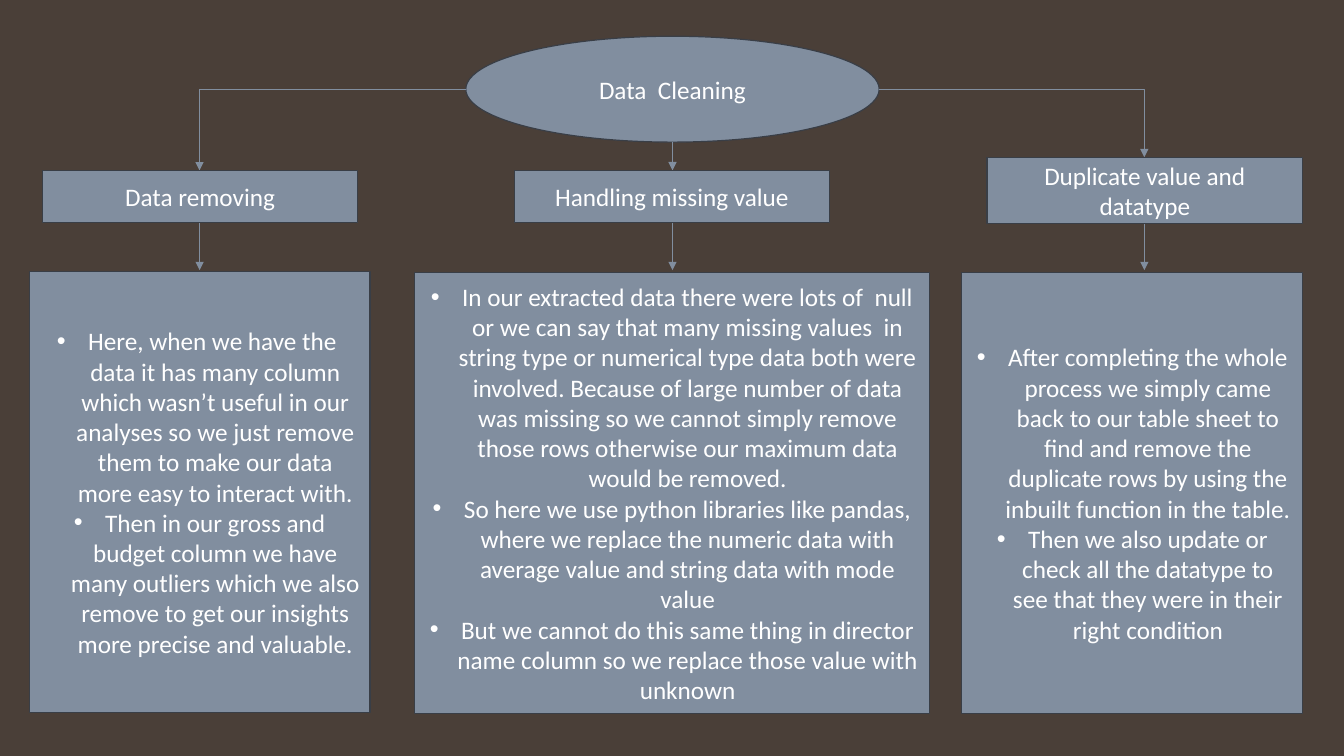
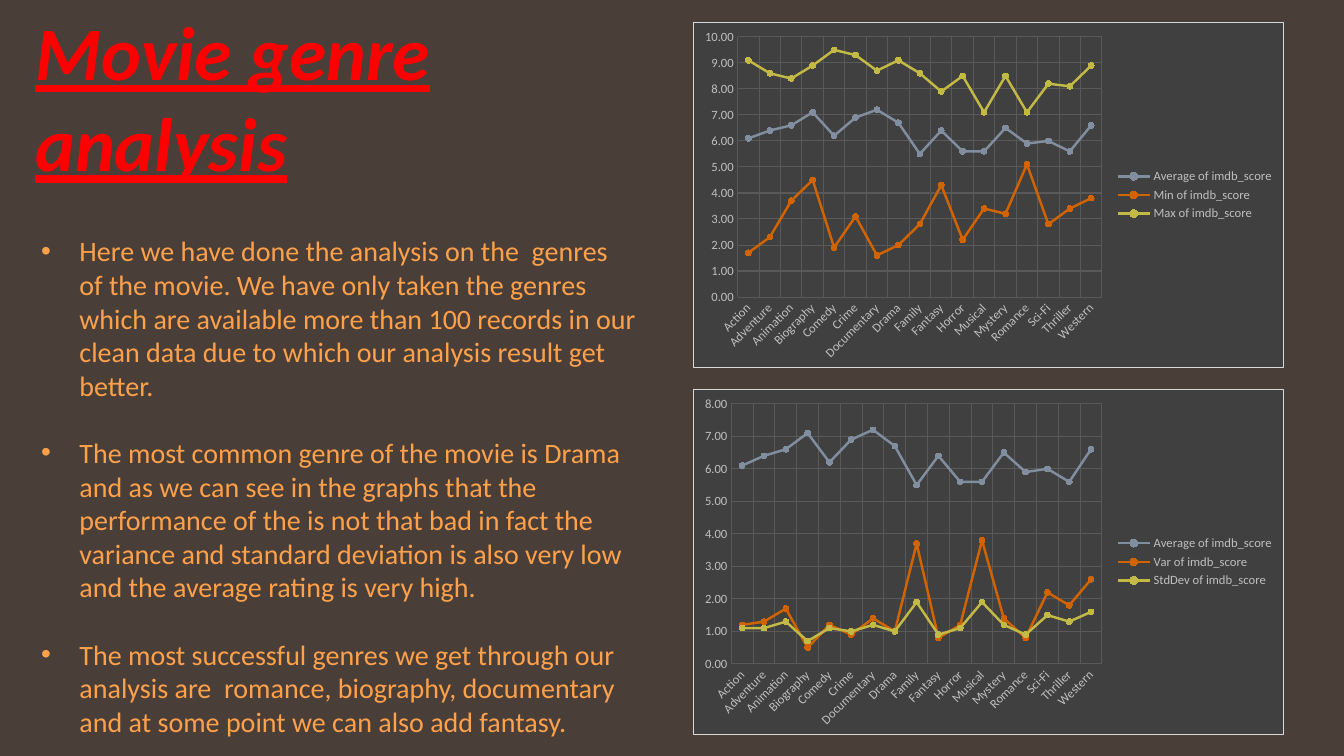
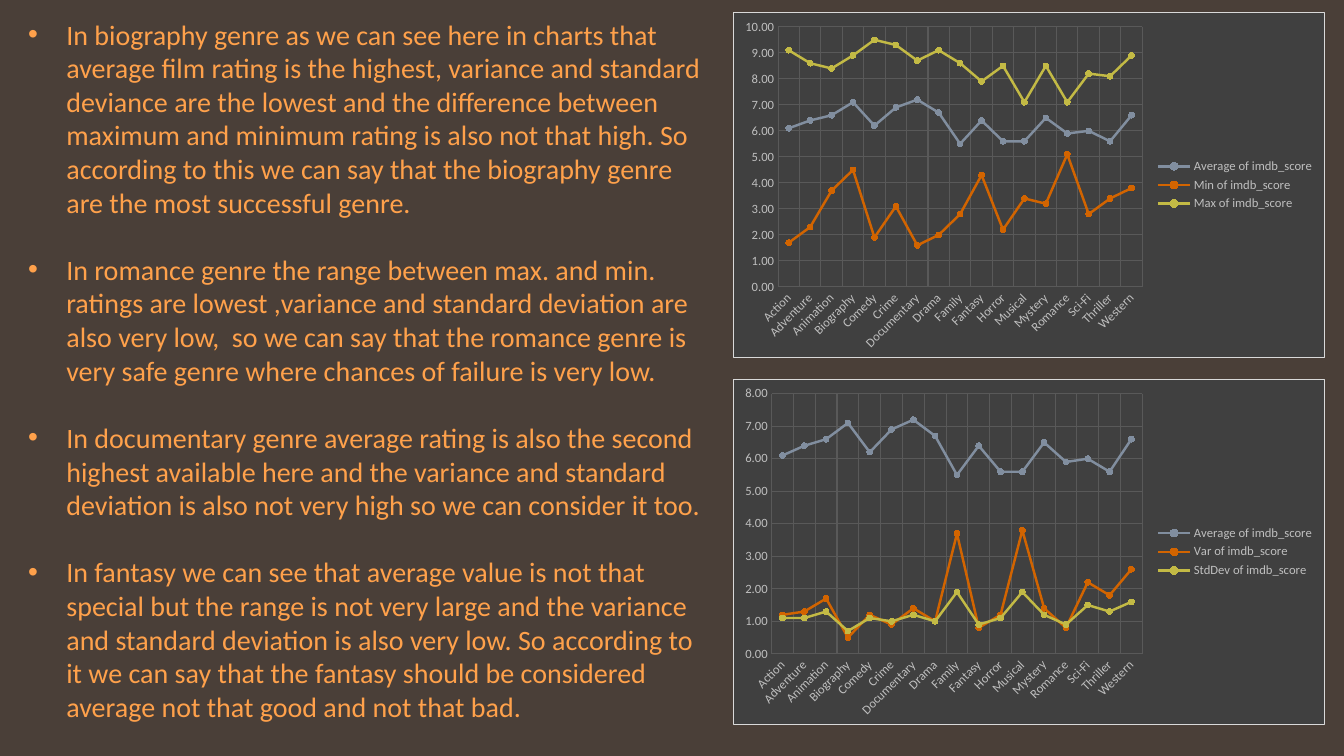
"""Builds three slides on cleaning movie data and analysing genre ratings."""
from dataclasses import dataclass

from lxml import etree
from pptx import Presentation
from pptx.chart.chart import Chart
from pptx.chart.data import CategoryChartData
from pptx.dml.color import RGBColor
from pptx.enum.chart import XL_CHART_TYPE, XL_LEGEND_POSITION, XL_MARKER_STYLE, XL_TICK_MARK
from pptx.enum.shapes import MSO_CONNECTOR, MSO_SHAPE
from pptx.enum.text import MSO_ANCHOR, MSO_AUTO_SIZE, PP_ALIGN
from pptx.oxml import parse_xml
from pptx.oxml.ns import nsdecls, qn
from pptx.slide import Slide
from pptx.text.text import Font, TextFrame, _Paragraph
from pptx.util import Inches, Pt

LINE_MARKERS = XL_CHART_TYPE.LINE_MARKERS
LEGEND_RIGHT = XL_LEGEND_POSITION.RIGHT
CIRCLE = XL_MARKER_STYLE.CIRCLE
NO_TICK = XL_TICK_MARK.NONE
STRAIGHT, ELBOW = MSO_CONNECTOR.STRAIGHT, MSO_CONNECTOR.ELBOW
OVAL, RECTANGLE = MSO_SHAPE.OVAL, MSO_SHAPE.RECTANGLE
TOP, MIDDLE = MSO_ANCHOR.TOP, MSO_ANCHOR.MIDDLE
FIXED = MSO_AUTO_SIZE.NONE
LEFT, CENTER = PP_ALIGN.LEFT, PP_ALIGN.CENTER
TITLE_ONLY, BLANK = 5, 6


@dataclass(frozen=True)
class Theme:
    """Colours, font and type sizes shared by the slides."""

    font: str = "Calibri"
    background: str = "4A3F38"
    box: str = "818E9F"
    outline: str = "393E46"
    box_text: str = "FFFFFF"
    title: str = "FF0000"
    body: str = "FFA14B"
    chart_fill: str = "404040"
    chart_border: str = "D9D9D9"
    grid: str = "595959"
    chart_text: str = "BFBFBF"
    series: tuple[str, ...] = ("818E9F", "D26400", "C3BA45")
    title_size: float = 54
    body_size: float = 20
    box_size: float = 18
    chart_size: float = 9


THEME = Theme()


@dataclass(frozen=True)
class Box:
    """A place on a slide, in inches."""

    left: float
    top: float
    width: float
    height: float

    @property
    def center(self) -> float:
        """Horizontal centre."""
        return self.left + self.width / 2

    @property
    def right(self) -> float:
        """Right edge."""
        return self.left + self.width

    @property
    def middle(self) -> float:
        """Vertical centre."""
        return self.top + self.height / 2

    @property
    def bottom(self) -> float:
        """Bottom edge."""
        return self.top + self.height

    def emu(self) -> tuple[int, int, int, int]:
        """Return the place as lengths for python-pptx."""
        return Inches(self.left), Inches(self.top), Inches(self.width), Inches(self.height)


@dataclass(frozen=True)
class CleaningStep:
    """One branch of the cleaning diagram."""

    heading: str
    heading_box: Box
    points: tuple[str, ...]
    points_box: Box


@dataclass(frozen=True)
class ScoreChart:
    """The series and the scale of one rating chart."""

    scores: dict[str, tuple[float, ...]]
    maximum: float


ROOT_BOX = Box(4.62, 0.36, 4.1, 1.05)
ARROW_END = 2.68
STEPS = (
    CleaningStep(
        "Data removing",
        Box(0.42, 1.69, 3.13, 0.52),
        (
            "Here, when we have the  data it has many column which wasn’t useful in our analyses "
            "so we just remove them to make our data more easy to interact with.",
            "Then in our gross and budget column we have many outliers which we also remove "
            "to get our insights more precise and valuable.",
        ),
        Box(0.29, 2.69, 3.38, 4.38),
    ),
    CleaningStep(
        "Handling missing value",
        Box(5.1, 1.69, 3.13, 0.52),
        (
            "In our extracted data there were lots of  null or we can say that many missing values  "
            "in string type or numerical type data both were involved. Because of large number of "
            "data was missing so we cannot simply remove those rows otherwise our maximum data "
            "would be removed.",
            "So here we use python libraries like pandas, where we replace the numeric data with "
            "average value and string data with mode value",
            "But we cannot do this same thing in director name column so we replace those value "
            "with unknown",
        ),
        Box(4.11, 2.7, 5.11, 4.38),
    ),
    CleaningStep(
        "Duplicate value and datatype",
        Box(9.79, 1.56, 3.13, 0.66),
        (
            "After completing the whole process we simply came back to our table sheet to find and "
            "remove the duplicate rows by using the inbuilt function in the table.",
            "Then we also update or check all the datatype to see that they were in their right "
            "condition",
        ),
        Box(9.54, 2.7, 3.38, 4.38),
    ),
)

GENRES = (
    "Action", "Adventure", "Animation", "Biography", "Comedy", "Crime", "Documentary", "Drama",
    "Family", "Fantasy", "Horror", "Musical", "Mystery", "Romance", "Sci-Fi", "Thriller", "Western",
)
AVERAGE = (6.1, 6.4, 6.6, 7.1, 6.2, 6.9, 7.2, 6.7, 5.5, 6.4, 5.6, 5.6, 6.5, 5.9, 6, 5.6, 6.6)
CHARTS = (
    ScoreChart(
        {
            "Average of imdb_score": AVERAGE,
            "Min of imdb_score": (
                1.7, 2.3, 3.7, 4.5, 1.9, 3.1, 1.6, 2, 2.8, 4.3, 2.2, 3.4, 3.2, 5.1, 2.8, 3.4, 3.8),
            "Max of imdb_score": (
                9.1, 8.6, 8.4, 8.9, 9.5, 9.3, 8.7, 9.1, 8.6, 7.9, 8.5, 7.1, 8.5, 7.1, 8.2, 8.1, 8.9),
        },
        10,
    ),
    ScoreChart(
        {
            "Average of imdb_score": AVERAGE,
            "Var of imdb_score": (
                1.2, 1.3, 1.7, 0.5, 1.2, 0.9, 1.4, 1, 3.7, 0.8, 1.2, 3.8, 1.4, 0.8, 2.2, 1.8, 2.6),
            "StdDev of imdb_score": (
                1.1, 1.1, 1.3, 0.7, 1.1, 1, 1.2, 1, 1.9, 0.9, 1.1, 1.9, 1.2, 0.9, 1.5, 1.3, 1.6),
        },
        8,
    ),
)
CHART_WIDTH, CHART_HEIGHT, CHART_PITCH = 5.87, 3.43, 3.64

GENRE_TITLE = "Movie genre analysis"
GENRE_POINTS = (
    "Here we have done the analysis on the  genres of the movie. We have only taken the genres "
    "which are available more than 100 records in our clean data due to which our analysis result "
    "get better.",
    "The most common genre of the movie is Drama and as we can see in the graphs that the "
    "performance of the is not that bad in fact the variance and standard deviation is also very "
    "low and the average rating is very high.",
    "The most successful genres we get through our analysis are  romance, biography, documentary "
    "and at some point we can also add fantasy.",
)
FINDINGS = (
    "In biography genre as we can see here in charts that average film rating is the highest, "
    "variance and standard deviance are the lowest and the difference between maximum and minimum "
    "rating is also not that high. So according to this we can say that the biography genre are "
    "the most successful genre.",
    "In romance genre the range between max. and min. ratings are lowest ,variance and standard "
    "deviation are also very low,  so we can say that the romance genre is very safe genre where "
    "chances of failure is very low.",
    "In documentary genre average rating is also the second highest available here and the "
    "variance and standard deviation is also not very high so we can consider it too.",
    "In fantasy we can see that average value is not that special but the range is not very large "
    "and the variance and standard deviation is also very low. So according to it we can say that "
    "the fantasy should be considered average not that good and not that bad.",
)


def rgb(code: str) -> RGBColor:
    """Turn a hex code into a colour."""
    return RGBColor.from_string(code)


def style_font(font: Font, size: float, color: str) -> None:
    """Set the theme font with a size and a colour."""
    font.name = THEME.font
    font.size = Pt(size)
    font.color.rgb = rgb(color)


def add_bullet(paragraph: _Paragraph, indent: float) -> None:
    """Give a paragraph a round bullet with a hanging indent."""
    properties = paragraph._p.get_or_add_pPr()
    properties.set("marL", str(Inches(indent)))
    properties.set("indent", str(-Inches(indent)))
    etree.SubElement(properties, qn("a:buFont")).set("typeface", "Arial")
    etree.SubElement(properties, qn("a:buChar")).set("char", "•")


def write_paragraphs(frame: TextFrame, texts: tuple[str, ...], size: float, color: str,
                     align: PP_ALIGN, indent: float = 0, gap: float = 0) -> None:
    """Fill a text frame, with bullets where an indent is given."""
    frame.word_wrap = True
    for index, text in enumerate(texts):
        paragraph = frame.paragraphs[0] if index == 0 else frame.add_paragraph()
        paragraph.text = text
        paragraph.alignment = align
        if index and gap:
            paragraph.space_before = Pt(gap)
        if indent:
            add_bullet(paragraph, indent)
        style_font(paragraph.font, size, color)


def add_node(slide: Slide, kind: MSO_SHAPE, box: Box, texts: tuple[str, ...],
             indent: float = 0) -> None:
    """Draw one filled shape of the diagram."""
    node = slide.shapes.add_shape(kind, *box.emu())
    node.shadow.inherit = False
    node.fill.solid()
    node.fill.fore_color.rgb = rgb(THEME.box)
    node.line.color.rgb = rgb(THEME.outline)
    node.line.width = Pt(0.85)
    node.text_frame.vertical_anchor = MIDDLE
    write_paragraphs(node.text_frame, texts, THEME.box_size, THEME.box_text, CENTER, indent)


def add_arrow(slide: Slide, start: tuple[float, float], end: tuple[float, float]) -> None:
    """Draw an arrow, with one corner when its ends are not in line."""
    bent = start[0] != end[0]
    arrow = slide.shapes.add_connector(
        ELBOW if bent else STRAIGHT, *(Inches(length) for length in (*start, *end)))
    arrow.line.color.rgb = rgb(THEME.box)
    arrow.line.width = Pt(0.75)
    properties = arrow._element.spPr
    if bent:
        properties.find(qn("a:prstGeom")).set("prst", "bentConnector2")
    etree.SubElement(properties.find(qn("a:ln")), qn("a:tailEnd")).set("type", "triangle")
    etree.SubElement(properties, qn("a:effectLst"))


def add_points(slide: Slide, box: Box, points: tuple[str, ...]) -> None:
    """Add a bulleted text box with a line of space between points."""
    frame = slide.shapes.add_textbox(*box.emu()).text_frame
    write_paragraphs(frame, points, THEME.body_size, THEME.body, LEFT, indent=0.38, gap=24)


def style_chart_area(chart: Chart) -> None:
    """Fill and outline the whole chart."""
    area = parse_xml(
        f'<c:spPr {nsdecls("c", "a")}>'
        f'<a:solidFill><a:srgbClr val="{THEME.chart_fill}"/></a:solidFill>'
        f'<a:ln w="{Pt(0.75)}"><a:solidFill><a:srgbClr val="{THEME.chart_border}"/></a:solidFill>'
        "</a:ln></c:spPr>")
    chart._chartSpace.find(qn("c:txPr")).addprevious(area)


def add_score_chart(slide: Slide, box: Box, score_chart: ScoreChart) -> None:
    """Draw one line chart of ratings by genre."""
    data = CategoryChartData(number_format="0.00")
    data.categories = GENRES
    for name, values in score_chart.scores.items():
        data.add_series(name, values)
    chart = slide.shapes.add_chart(LINE_MARKERS, *box.emu(), data).chart
    chart.has_title = False
    style_font(chart.font, THEME.chart_size, THEME.chart_text)
    style_chart_area(chart)
    chart.has_legend = True
    chart.legend.position = LEGEND_RIGHT
    chart.legend.include_in_layout = False
    style_font(chart.legend.font, THEME.chart_size, THEME.chart_text)
    for axis in (chart.category_axis, chart.value_axis):
        axis.major_tick_mark = axis.minor_tick_mark = NO_TICK
        axis.format.line.fill.background()
        axis.has_major_gridlines = True
        axis.major_gridlines.format.line.color.rgb = rgb(THEME.grid)
        axis.major_gridlines.format.line.width = Pt(0.75)
        style_font(axis.tick_labels.font, THEME.chart_size, THEME.chart_text)
    label_body = chart.category_axis._element.find(qn("c:txPr")).find(qn("a:bodyPr"))
    label_body.set("rot", str(-45 * 60000))
    chart.value_axis.minimum_scale = 0
    chart.value_axis.maximum_scale = score_chart.maximum
    chart.value_axis.major_unit = 1
    chart.value_axis.tick_labels.number_format = "0.00"
    chart.value_axis.tick_labels.number_format_is_linked = False
    chart.plots[0].vary_by_categories = False
    for series, color in zip(chart.plots[0].series, THEME.series):
        series.smooth = False
        series.format.line.color.rgb = rgb(color)
        series.format.line.width = Pt(1.75)
        series.marker.style = CIRCLE
        series.marker.size = 4
        series.marker.format.fill.solid()
        series.marker.format.fill.fore_color.rgb = rgb(color)
        series.marker.format.line.color.rgb = rgb(color)


def add_chart_column(slide: Slide, left: float, top: float) -> None:
    """Stack the two rating charts."""
    for row, score_chart in enumerate(CHARTS):
        box = Box(left, top + row * CHART_PITCH, CHART_WIDTH, CHART_HEIGHT)
        add_score_chart(slide, box, score_chart)


def build_cleaning(slide: Slide) -> None:
    """Draw the data cleaning diagram."""
    add_node(slide, OVAL, ROOT_BOX, ("Data  Cleaning",))
    starts = (
        (ROOT_BOX.left, ROOT_BOX.middle),
        (ROOT_BOX.center, ROOT_BOX.bottom),
        (ROOT_BOX.right, ROOT_BOX.middle),
    )
    for step, start in zip(STEPS, starts):
        heading = step.heading_box
        center = round(heading.center, 2)
        if start == starts[1]:
            center = start[0]
        add_arrow(slide, start, (center, heading.top))
        add_arrow(slide, (center, heading.bottom), (center, ARROW_END))
        add_node(slide, RECTANGLE, heading, (step.heading,))
        add_node(slide, RECTANGLE, step.points_box, step.points, indent=0.31)


def build_genres(slide: Slide) -> None:
    """Lay out the genre analysis with its title and charts."""
    title = slide.shapes.title
    title.left, title.top, title.width, title.height = Box(0.25, 0, 6.62, 1.92).emu()
    frame = title.text_frame
    frame.auto_size = FIXED
    frame.vertical_anchor = TOP
    write_paragraphs(frame, (GENRE_TITLE,), THEME.title_size, THEME.title, LEFT)
    font = frame.paragraphs[0].font
    font.bold = font.italic = font.underline = True
    add_chart_column(slide, 6.87, 0.22)
    add_points(slide, Box(0.31, 2.27, 6.1, 5.15), GENRE_POINTS)


def build_findings(slide: Slide) -> None:
    """Lay out the findings by genre beside the charts."""
    add_points(slide, Box(0.18, 0.12, 6.9, 7.17), FINDINGS)
    add_chart_column(slide, 7.27, 0.12)


def main() -> None:
    """Build and save the presentation."""
    deck = Presentation()
    deck.slide_width, deck.slide_height = Inches(13.33), Inches(7.5)
    backdrop = deck.slide_master.background.fill
    backdrop.solid()
    backdrop.fore_color.rgb = rgb(THEME.background)
    pages = ((BLANK, build_cleaning), (TITLE_ONLY, build_genres), (BLANK, build_findings))
    for layout, build in pages:
        build(deck.slides.add_slide(deck.slide_layouts[layout]))
    deck.save("out.pptx")


if __name__ == "__main__":
    main()
